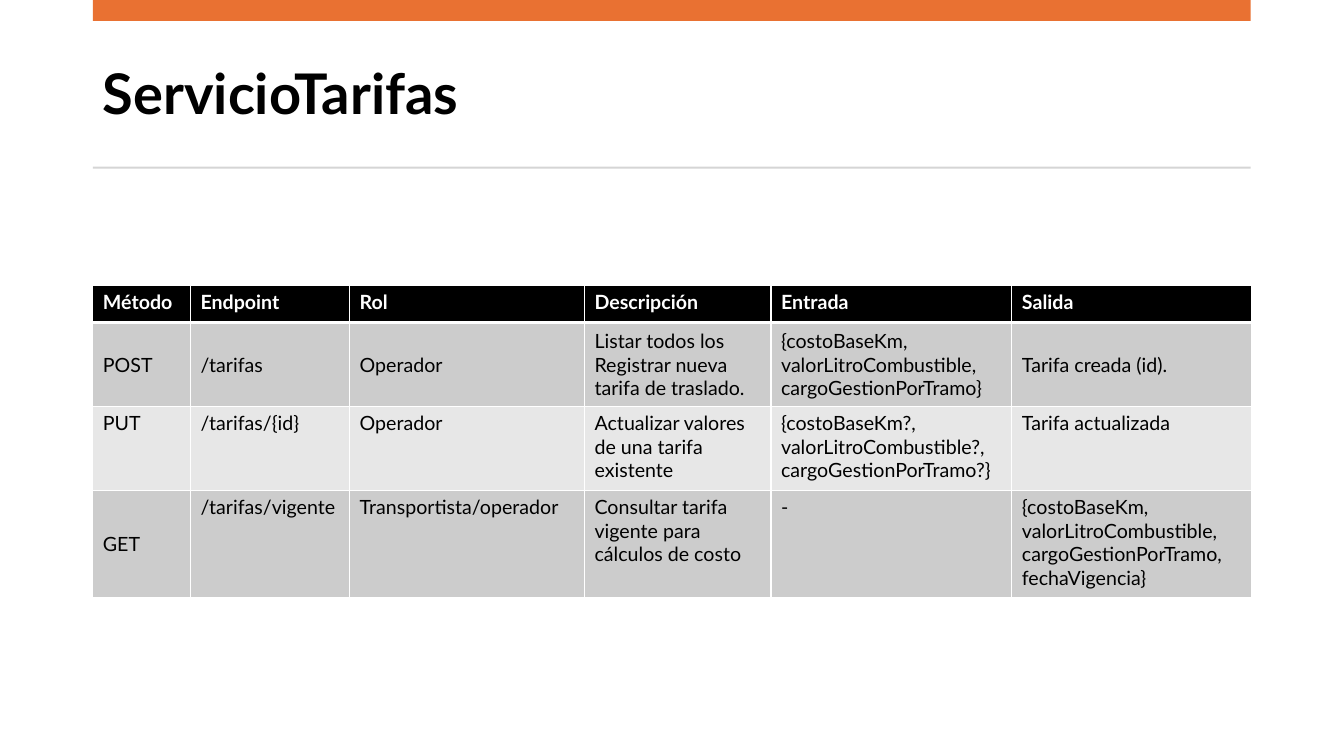
import pptx
import pptx.util
import pptx.dml.color
import pptx.enum.shapes
import pptx.enum.text
import pptx.oxml

Cm = pptx.util.Cm
Pt = pptx.util.Pt
Rgb = pptx.dml.color.RGBColor.from_string
Anchor = pptx.enum.text.MSO_ANCHOR

hues = {"bar": "E97132", "rule": "D5D5D5", "black": "000000",
        "white": "FFFFFF", "dark": "CCCCCC", "light": "E7E7E7"}
left, width = Cm(2.34), Cm(29.18)


def style(font, size, hue, bold):
    font.name, font.size, font.bold = "Lato", Pt(size), bold
    font.color.rgb = Rgb(hues[hue])


def border(cell, side, points):
    cell._tc.get_or_add_tcPr().append(pptx.oxml.parse_xml(
        f'<a:{side} xmlns:a="http://schemas.openxmlformats.org/drawingml/2006/main"'
        f' w="{Pt(points)}"><a:solidFill><a:srgbClr val="{hues["white"]}"/>'
        f'</a:solidFill></a:{side}>'))


deck = pptx.Presentation()
deck.slide_width, deck.slide_height = Cm(33.87), Cm(19.05)
slide = deck.slides.add_slide(deck.slide_layouts[5])

# Title
title = slide.shapes.title
title.left, title.top, title.width, title.height = left, Cm(0.94), width, Cm(3)
title.text_frame.text = "ServicioTarifas"
title.text_frame.vertical_anchor = Anchor.MIDDLE
head = title.text_frame.paragraphs[0]
head.alignment = pptx.enum.text.PP_ALIGN.LEFT
head.line_spacing = 0.9
style(head.font, 40, "black", True)

# Top bar and rule under the title
for top, height, hue in [(0, 0.53, "bar"), (4.2, 0.05, "rule")]:
    band = slide.shapes.add_shape(pptx.enum.shapes.MSO_SHAPE.RECTANGLE,
                                  left, Cm(top), width, Cm(height))
    band.shadow.inherit = False
    band.fill.solid()
    band.fill.fore_color.rgb = Rgb(hues[hue])
    band.line.fill.background()

# Endpoint table
rows = [
    ["Método", "Endpoint", "Rol", "Descripción", "Entrada", "Salida"],
    ["POST", "/tarifas", "Operador",
     "Listar todos los Registrar nueva tarifa de traslado.",
     "{costoBaseKm, valorLitroCombustible, cargoGestionPorTramo}",
     "Tarifa creada (id)."],
    ["PUT", "/tarifas/{id}", "Operador",
     "Actualizar valores de una tarifa existente",
     "{costoBaseKm?, valorLitroCombustible?, cargoGestionPorTramo?}",
     "Tarifa actualizada"],
    ["GET", "/tarifas/vigente", "Transportista/operador",
     "Consultar tarifa vigente para cálculos de costo", "-",
     "{costoBaseKm, valorLitroCombustible, cargoGestionPorTramo, fechaVigencia}"],
]
fills = ["black", "dark", "light", "dark"]
grid = slide.shapes.add_table(4, 6, left, Cm(7.19), width, Cm(7.88)).table
for col, size in zip(grid.columns, [2.46, 4.01, 5.92, 4.7, 6.07, 6.04]):
    col.width = Cm(size)
for row, size in zip(grid.rows, [0.94, 2.11, 2.11, 2.72]):
    row.height = Cm(size)

for r, row in enumerate(rows):
    for c, text in enumerate(row):
        cell = grid.cell(r, c)
        cell.text = text
        first = r == 0
        style(cell.text_frame.paragraphs[0].font, 14,
              "white" if first else "black", first)
        # The POST row and the GET label are centred vertically
        middle = r == 1 or (r == 3 and c == 0)
        cell.vertical_anchor = Anchor.MIDDLE if middle else Anchor.TOP
        # A thicker line parts the header from the body
        for side, points in [("lnL", 1), ("lnR", 1),
                             ("lnT", 3 if r == 1 else 1),
                             ("lnB", 3 if first else 1)]:
            border(cell, side, points)
        cell.fill.solid()
        cell.fill.fore_color.rgb = Rgb(hues[fills[r]])

deck.save("out.pptx")
